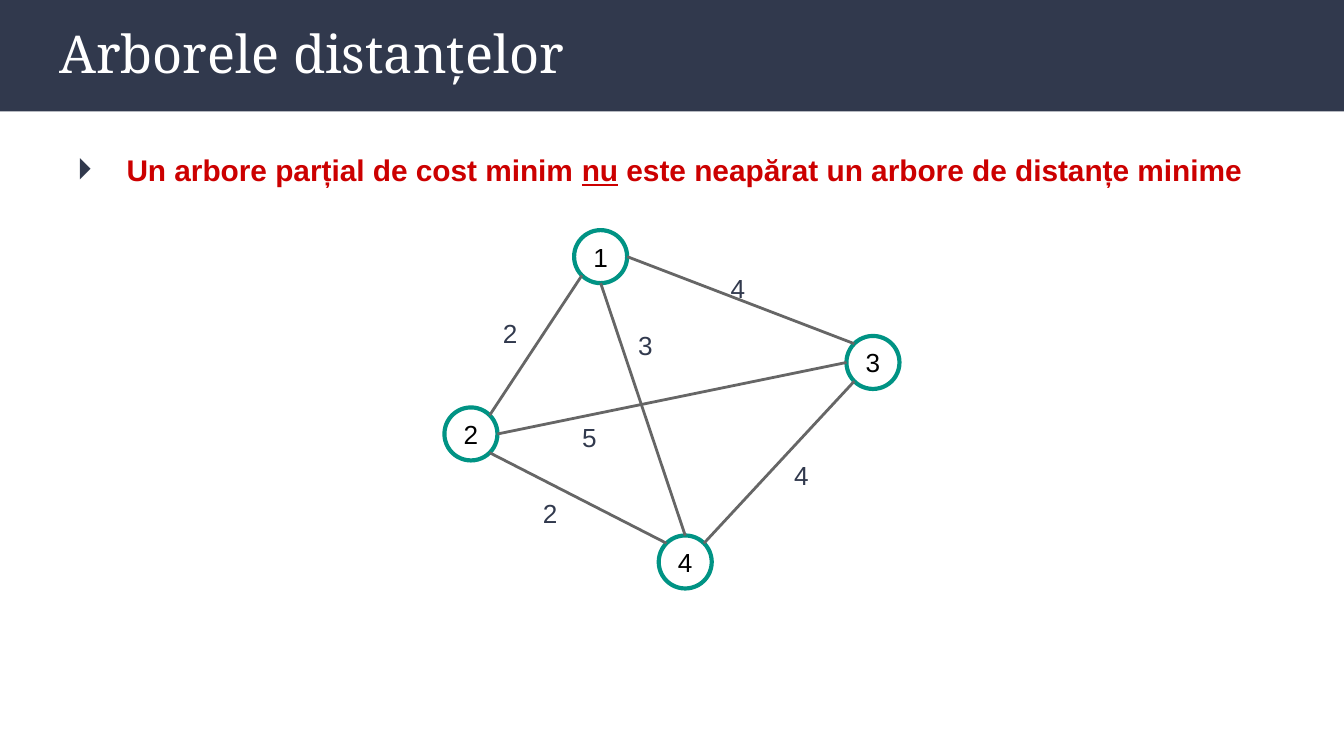
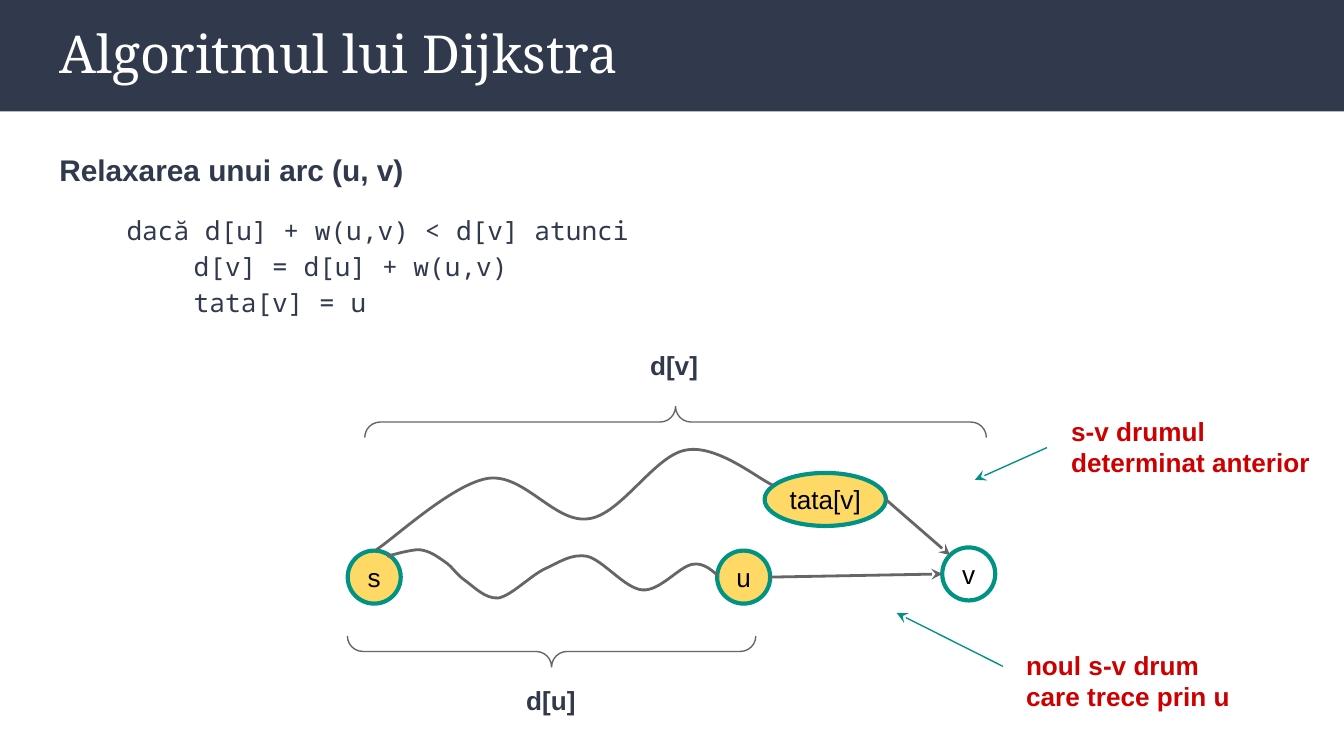
"""Build two slides on shortest-path trees and Dijkstra's edge relaxation."""
import math
from lxml import etree
from pptx import Presentation
from pptx.dml.color import RGBColor
from pptx.enum import shapes, text
from pptx.oxml.ns import qn
from pptx.util import Pt

C = {"navy": "31394D", "white": "FFFFFF", "red": "CC0000", "teal": "009384",
     "gray": "666666", "yellow": "FFD966", "black": "000000"}
RGB = {name: RGBColor.from_string(value) for name, value in C.items()}
DIAMETER = 28.4
COMPASS = {d: i * math.pi / 4 for i, d in enumerate(["E", "SE", "S", "SW", "W", "NW", "N", "NE"])}


def add_text(s, x, y, w, h, content, size, color, bold=False, font="Arial"):
    """Add a wrapped text box and return its text frame."""
    tf = s.shapes.add_textbox(Pt(x), Pt(y), Pt(w), Pt(h)).text_frame
    tf.word_wrap = True
    tf.margin_left = tf.margin_right = tf.margin_top = tf.margin_bottom = Pt(7.2)
    p = tf.paragraphs[0]
    p.text = content
    p.font.size, p.font.name, p.font.bold = Pt(size), font, bold
    p.font.color.rgb = RGB[color]
    return tf


def add_line(s, start, end, color, width, arrow):
    """Add a straight connector, with a stealth head if arrow is true."""
    cx = s.shapes.add_connector(shapes.MSO_CONNECTOR.STRAIGHT, *map(Pt, (*start, *end)))
    cx.line.color.rgb, cx.line.width = RGB[color], Pt(width)
    if arrow:
        etree.SubElement(cx.line._get_or_add_ln(), qn("a:tailEnd"), type="stealth")
    etree.SubElement(cx._element.spPr, qn("a:effectLst"))


slides = [
    {"title": "Arborele distanțelor",
     "nodes": {"1": (321.8, 137.5, DIAMETER, None), "2": (252.3, 232.5, DIAMETER, None),
               "3": (467.7, 194.2, DIAMETER, None), "4": (367.1, 301.1, DIAMETER, None)},
     "edges": [("1", "SW", "2", "NE"), ("1", "E", "3", "NW"), ("2", "SE", "4", "NW"),
               ("4", "NE", "3", "SW"), ("1", "S", "4", "N"), ("2", "E", "3", "W")],
     "directed": False,
     "labels": [("2", 262.3, 162.9, 34, 31.6, "navy", False),
                ("2", 283.7, 259.4, 34, 31.6, "navy", False),
                ("4", 384.3, 138.8, 34, 31.6, "navy", False),
                ("4", 418.3, 239, 34, 31.6, "navy", False),
                ("5", 304.8, 218.5, 34, 31.6, "navy", False),
                ("3", 334.8, 169.4, 34, 31.6, "navy", False)]},
    {"title": "Algoritmul lui Dijkstra",
     "nodes": {"s": (200.5, 309.2, DIAMETER, "yellow"), "u": (398.4, 309.2, DIAMETER, "yellow"),
               "v": (519, 307.5, DIAMETER, None), "tata[v]": (442.1, 267.6, 65, "yellow")},
     "edges": [("u", "E", "v", "W"), ("tata[v]", "E", "v", "NW")],
     "directed": True,
     "labels": [("d[v]", 341.2, 180, 42, 31.6, "navy", True),
                ("d[u]", 274.8, 359.7, 42, 31.6, "navy", True),
                ("s-v drumul determinat anterior", 566.7, 215.3, 142.6, 48.2, "red", True),
                ("noul s-v drum care trece prin u", 542.6, 340.6, 133.9, 48.2, "red", True)]},
]

prs = Presentation()
prs.slide_width, prs.slide_height = Pt(720), Pt(405)

for data in slides:
    s = prs.slides.add_slide(prs.slide_layouts[6])
    band = s.shapes.add_shape(shapes.MSO_SHAPE.RECTANGLE, 0, 0, prs.slide_width, Pt(59.7))
    band.shadow.inherit = False
    band.fill.solid()
    band.fill.fore_color.rgb = RGB["navy"]
    band.line.fill.background()
    tf = add_text(s, 24.7, 3.9, 671, 49, data["title"], 28, "white", font="Noto Serif")
    tf.vertical_anchor = text.MSO_ANCHOR.MIDDLE

    for name, (x, y, w, fill) in data["nodes"].items():
        sp = s.shapes.add_shape(shapes.MSO_SHAPE.OVAL, Pt(x - w / 2), Pt(y - DIAMETER / 2),
                                Pt(w), Pt(DIAMETER))
        sp.shadow.inherit = False
        if fill:
            sp.fill.solid()
            sp.fill.fore_color.rgb = RGB[fill]
        else:
            sp.fill.background()
        sp.line.color.rgb, sp.line.width = RGB["teal"], Pt(2.25)
        tf = sp.text_frame
        tf.margin_left = tf.margin_right = tf.margin_top = tf.margin_bottom = Pt(1.4)
        tf.vertical_anchor = text.MSO_ANCHOR.MIDDLE
        p = tf.paragraphs[0]
        p.text, p.alignment = name, text.PP_ALIGN.CENTER
        p.font.size, p.font.name, p.font.color.rgb = Pt(14), "Arial", RGB["black"]

    for a, side_a, b, side_b in data["edges"]:
        ends = []
        for name, side in ((a, side_a), (b, side_b)):
            x, y, w, _ = data["nodes"][name]
            ends.append((x + w / 2 * math.cos(COMPASS[side]),
                         y + DIAMETER / 2 * math.sin(COMPASS[side])))
        add_line(s, *ends, "gray", 1.5, data["directed"])

    for label, x, y, w, h, color, bold in data["labels"]:
        add_text(s, x, y, w, h, label, 14, color, bold)

tree, relax = prs.slides

tf = add_text(tree, 24.7, 71.3, 671, 296, "", 16, "red", True)
p = tf.paragraphs[0]
p.line_spacing = 1.15
for part in ("Un arbore parțial de cost minim ", "nu", " este neapărat un arbore de distanțe minime"):
    r = p.add_run()
    r.text = part
    r.font.underline = part == "nu"
pPr = p._p.get_or_add_pPr()
pPr.set("marL", str(Pt(36)))
pPr.set("indent", str(-Pt(26.6)))
bullet_color = etree.Element(qn("a:buClr"))
etree.SubElement(bullet_color, qn("a:srgbClr"), val=C["navy"])
bullet_font = etree.Element(qn("a:buFont"), typeface="Arial")
bullet = etree.Element(qn("a:buChar"), char="⏵")
pPr.find(qn("a:lnSpc")).addnext(bullet_color)
bullet_color.addnext(bullet_font)
bullet_font.addnext(bullet)

tf = add_text(relax, 24.7, 71.3, 671, 296, "Relaxarea unui arc (u, v)", 16, "navy", True)
tf.paragraphs[0].line_spacing = 1.15
p = tf.add_paragraph()
p.text = "dacă d[u] + w(u,v) < d[v] atunci\v\t\td[v] = d[u] + w(u,v)\v\t\ttata[v] = u"
p.line_spacing, p.space_before, p.space_after = 1.15, Pt(12), Pt(12)
p.font.size, p.font.name, p.font.color.rgb = Pt(14), "Noto Sans Mono", RGB["navy"]
pPr = p._p.get_or_add_pPr()
pPr.set("marL", "0")
pPr.set("indent", str(Pt(36)))
tabs = etree.Element(qn("a:tabLst"))
for stop in (72, 144):
    etree.SubElement(tabs, qn("a:tab"), pos=str(Pt(stop)), algn="l")
pPr.find(qn("a:spcAft")).addnext(tabs)

path_to_u = [(207.4, 298), (210.2, 297.4), (219.6, 294.5), (224.6, 294.5),
             (230.4, 295.2), (234, 298), (238.3, 301), (242.6, 303.8), (244, 307.4),
             (249.1, 311), (253.4, 313.9), (259.9, 321.1), (267.1, 320.4), (274.3, 319),
             (284.4, 308.2), (292.3, 304.6), (300.2, 301), (306, 296.6), (314.6, 298.1),
             (323.3, 300.2), (334.8, 315.4), (344.2, 316.1), (353.5, 316.8), (363.6, 303.8),
             (370.8, 302.4), (377.3, 301), (382.3, 306.7), (384.5, 308.2)]
path_to_parent = [(201.6, 294.5), (211.7, 288), (242.6, 259.2), (261.4, 256.3),
                  (280.8, 253.4), (297.4, 280.8), (315.4, 277.9), (332.6, 275.8),
                  (350.6, 244.1), (367.2, 241.2), (383.8, 237.6), (406.8, 257), (414, 259.9)]
for controls in (path_to_u, path_to_parent):
    start, *rest = [tuple(map(Pt, point)) for point in controls]
    builder = relax.shapes.build_freeform(*start)
    builder.add_line_segments(rest, close=False)
    curve = builder.convert_to_shape()
    segments = list(curve._element.iter(qn("a:lnTo")))
    for i in range(0, len(segments), 3):
        bezier = etree.Element(qn("a:cubicBezTo"))
        segments[i].addprevious(bezier)
        for segment in segments[i:i + 3]:
            bezier.append(segment[0])
            segment.getparent().remove(segment)
    curve.shadow.inherit = False
    curve.fill.background()
    curve.line.color.rgb, curve.line.width = RGB["gray"], Pt(1.5)

for x, y, h, rotation in ((353.6, 59.6, 333, 90), (287.2, 239.6, 218.8, 270)):
    brace = relax.shapes.add_shape(shapes.MSO_SHAPE.LEFT_BRACE, Pt(x), Pt(y), Pt(16.6), Pt(h))
    brace.rotation = rotation
    brace.adjustments[0] = brace.adjustments[1] = 0.5
    brace.shadow.inherit = False
    brace.fill.background()
    brace.line.color.rgb, brace.line.width = RGB["gray"], Pt(0.75)

for start, end in (((537.3, 357), (480.4, 328.4)), ((560.9, 239.8), (522.3, 257.1))):
    add_line(relax, start, end, "teal", 0.75, True)

prs.save("out.pptx")
